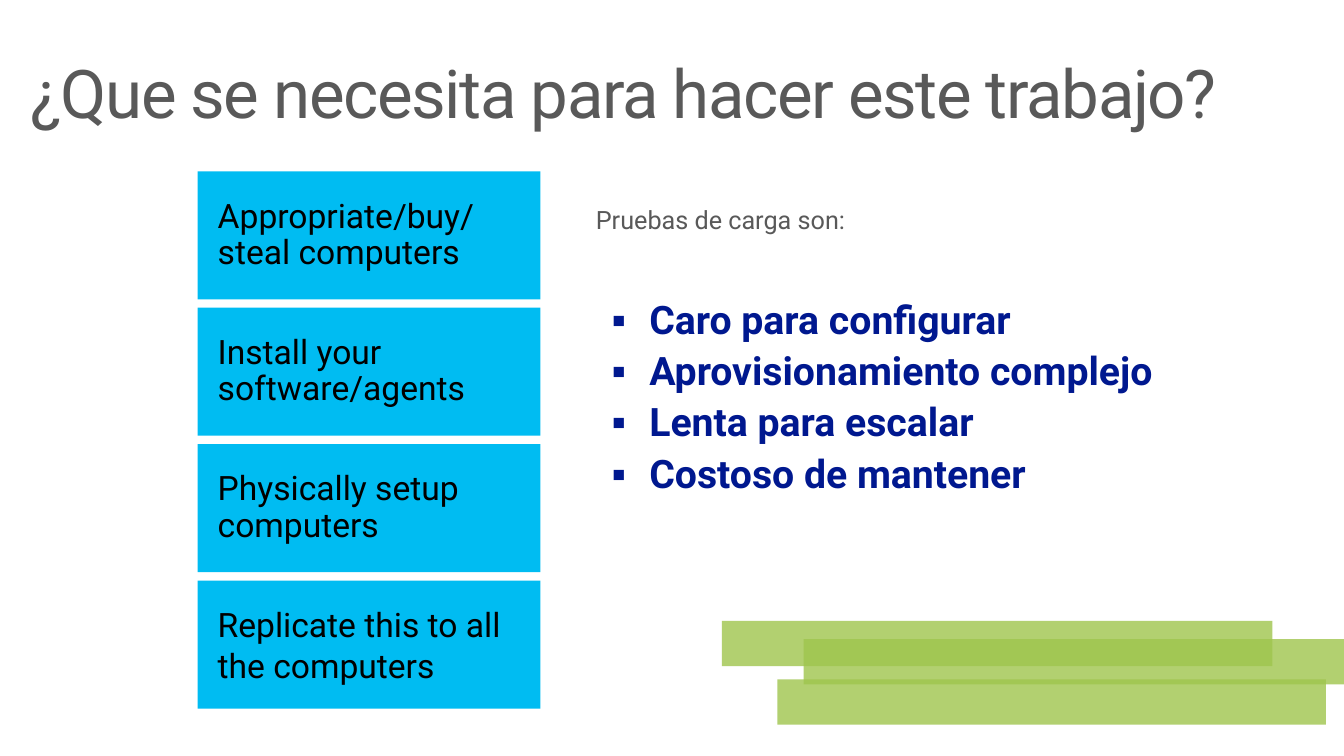
from dataclasses import dataclass

from lxml import etree
from pptx import Presentation
from pptx import util as u
from pptx.dml import color
from pptx.enum import shapes, text
from pptx.oxml import ns


@dataclass(frozen=True)
class Theme:
    font: str = "Roboto"
    gray: str = "595959"
    navy: str = "00188F"
    cyan: str = "00BCF2"
    green: str = "9FC54D"
    black: str = "000000"
    title: int = 48
    point: int = 28
    step: int = 24
    lead: int = 18


@dataclass(frozen=True)
class Box:
    left: float
    top: float
    width: float
    height: float

    def place(self) -> list:
        return [u.Inches(n) for n in (self.left, self.top, self.width, self.height)]


@dataclass(frozen=True)
class Step:
    words: str
    lines: float = 0.9


LOOK = Theme()
BARS = [
    Box(7.16, 6.16, 5.46, 0.45),
    Box(7.97, 6.34, 5.36, 0.45),
    Box(7.71, 6.74, 5.44, 0.45),
]
STEPS = [
    Step("Appropriate/buy/\nsteal computers"),
    Step("Install your software/agents"),
    Step("Physically setup computers"),
    Step("Replicate this to all the computers", 1.0),
]
FIRST, LAST = 1.7, 5.76
POINTS = [
    "Caro para configurar",
    "Aprovisionamiento complejo",
    "Lenta para escalar",
    "Costoso de mantener",
]


def add_rect(slide, box: Box, fill: str, alpha: int = 100):
    rect = slide.shapes.add_shape(shapes.MSO_SHAPE.RECTANGLE, *box.place())
    rect.shadow.inherit = False
    rect.fill.solid()
    rect.fill.fore_color.rgb = color.RGBColor.from_string(fill)
    rect.line.fill.background()
    if alpha < 100:
        tint = rect.fill._xPr.find(".//" + ns.qn("a:srgbClr"))
        etree.SubElement(tint, ns.qn("a:alpha"), val=str(alpha * 1000))
    return rect


def add_mark(para, hue: str) -> None:
    props = para._p.get_or_add_pPr()
    props.set("marL", str(u.Inches(0.37)))
    props.set("indent", str(u.Inches(-0.37)))
    tint = etree.SubElement(props, ns.qn("a:buClr"))
    etree.SubElement(tint, ns.qn("a:srgbClr"), val=hue)
    etree.SubElement(props, ns.qn("a:buSzPct"), val="90000")
    etree.SubElement(props, ns.qn("a:buFont"), typeface=LOOK.font)
    etree.SubElement(props, ns.qn("a:buChar"), char="▪")


def write(shape, lines: list[str], *, size: int, hue: str, bold: bool = False,
          pad: tuple[float, float] = (0, 0), anchor=text.MSO_ANCHOR.TOP,
          lead: float = 1.0, gap: float = 0, mark: bool = False,
          track: int = 0) -> None:
    frame = shape.text_frame
    frame.word_wrap = True
    frame.vertical_anchor = anchor
    frame.margin_left = frame.margin_right = u.Inches(pad[0])
    frame.margin_top = frame.margin_bottom = u.Inches(pad[1])
    for i, line in enumerate(lines):
        para = frame.add_paragraph() if i else frame.paragraphs[0]
        para.text = line
        para.alignment = text.PP_ALIGN.LEFT
        para.line_spacing = lead
        if i and gap:
            para.space_before = u.Pt(gap)
        if mark:
            add_mark(para, hue)
        for run in para.runs:
            run.font.name = LOOK.font
            run.font.size = u.Pt(size)
            run.font.bold = bold
            run.font.color.rgb = color.RGBColor.from_string(hue)
            if track:
                run.font._element.set("spc", str(track))


def add_text(slide, box: Box, lines: list[str], **style) -> None:
    write(slide.shapes.add_textbox(*box.place()), lines, **style)


def main() -> None:
    deck = Presentation()
    deck.slide_width, deck.slide_height = u.Inches(13.33), u.Inches(7.5)
    slide = deck.slides.add_slide(deck.slide_layouts[6])

    for bar in BARS:
        add_rect(slide, bar, LOOK.green, alpha=80)

    pitch = (LAST - FIRST) / (len(STEPS) - 1)
    for i, step in enumerate(STEPS):
        card = add_rect(slide, Box(1.96, FIRST + i * pitch, 3.4, 1.27), LOOK.cyan)
        write(card, [step.words], size=LOOK.step, hue=LOOK.black, pad=(0.2, 0.16),
              anchor=text.MSO_ANCHOR.MIDDLE, lead=step.lines)

    add_text(slide, Box(5.91, 2.03, 7.39, 0.81), ["Pruebas de carga son:"],
             size=LOOK.lead, hue=LOOK.gray)
    add_text(slide, Box(0.3, 0.32, 12.88, 1),
             ["¿Que se necesita para hacer este trabajo?"], size=LOOK.title,
             hue=LOOK.gray, anchor=text.MSO_ANCHOR.BOTTOM, lead=0.9, track=-100)
    add_text(slide, Box(5.91, 2.88, 6.55, 2.18), POINTS, size=LOOK.point,
             hue=LOOK.navy, bold=True, pad=(0.16, 0.1), lead=0.9, gap=6.4, mark=True)

    deck.save("out.pptx")


if __name__ == "__main__":
    main()
